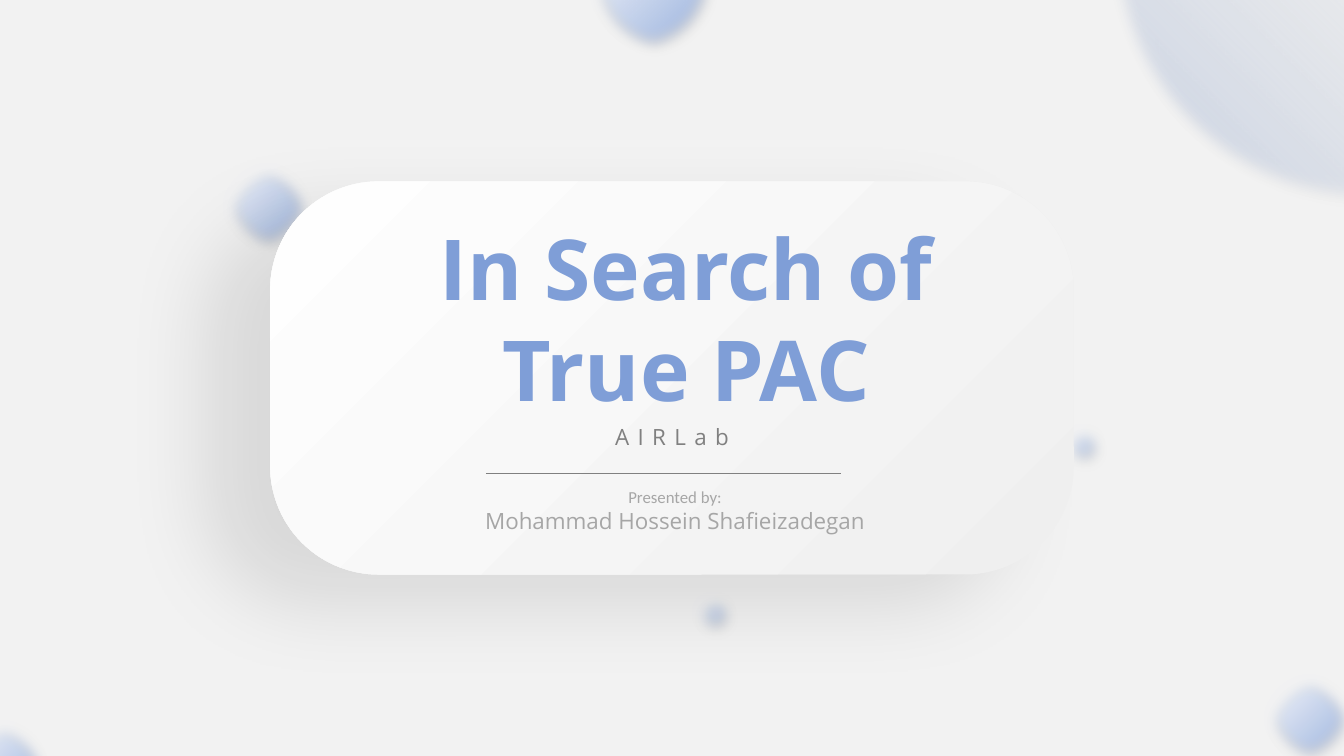
import lxml.etree
import pptx
import pptx.dml.color
import pptx.enum.shapes
import pptx.enum.text
import pptx.oxml
import pptx.oxml.ns
import pptx.util

Inches = pptx.util.Inches
Pt = pptx.util.Pt
qn = pptx.oxml.ns.qn
SHAPES = pptx.enum.shapes.MSO_SHAPE


def color(hex_string):
    return pptx.dml.color.RGBColor.from_string(hex_string)


def add_text(text, left, top, width, height, size=16, font="Open Sans",
             fill="A6A6A6", bold=False, spacing=0, heading=None):
    """Add a centred text box, with an optional small heading paragraph."""
    box = slide.shapes.add_textbox(Inches(left), Inches(top), Inches(width), Inches(height))
    frame = box.text_frame
    frame.word_wrap = True
    frame.auto_size = pptx.enum.text.MSO_AUTO_SIZE.SHAPE_TO_FIT_TEXT
    lines = [(text, size, font)]
    if heading:
        lines.insert(0, (heading, 12, "Calibri"))
    for index, (line, line_size, line_font) in enumerate(lines):
        paragraph = frame.add_paragraph() if index else frame.paragraphs[0]
        paragraph.alignment = pptx.enum.text.PP_ALIGN.CENTER
        run = paragraph.add_run()
        run.text = line
        run.font.size = Pt(line_size)
        run.font.name = line_font
        run.font.bold = bold
        run.font.color.rgb = color(fill)
        if spacing:
            run.font._element.set("spc", str(spacing * 100))


presentation = pptx.Presentation()
presentation.slide_width = Inches(13.33)
presentation.slide_height = Inches(7.5)
slide = presentation.slides.add_slide(presentation.slide_layouts[6])
slide.background.fill.solid()
slide.background.fill.fore_color.rgb = color("F2F2F2")

# Gradient stops: position, colour, opacity in percent
ball_stops = [(0, "8FAADC", 100), (0.99, "FEFEFE", 100)]
glow_stops = [(0, "8FAADC", 41), (0.74, "F2F2F2", 0)]
card_stops = [(0, "EFEFEF", 100), (0.99, "FEFEFE", 100)]
# Shadows: opacity in percent, blur, distance, direction
ball_shadow = (12, 4, 4, 60)
card_shadow = (9, 58, 53, 154)

balls = [
    (10.46, 4.14, 0.56, ball_stops, 225),
    (2.18, 1.58, 0.95, ball_stops, 225),
    (6.8, 5.81, 0.56, ball_stops, 225),
    (10.95, -2.98, 5.03, glow_stops, 315),
    (12.5, 6.65, 0.96, ball_stops, 225),
    (5.82, -0.75, 1.3, ball_stops, 225),
    (-0.45, 7.11, 0.96, ball_stops, 225),
]
surfaces = [
    (SHAPES.OVAL, left, top, size, size, stops, angle, ball_shadow, 10)
    for left, top, size, stops, angle in balls
]
surfaces.append(
    (SHAPES.ROUNDED_RECTANGLE, 2.68, 1.8, 7.97, 3.9, card_stops, 225, card_shadow, 0))

for kind, left, top, width, height, stops, angle, shadow, soft_edge in surfaces:
    shape = slide.shapes.add_shape(
        kind, Inches(left), Inches(top), Inches(width), Inches(height))
    if kind == SHAPES.ROUNDED_RECTANGLE:
        shape.adjustments[0] = 0.276
    shape.line.fill.background()
    shape.fill.gradient()
    shape.fill.gradient_angle = 360 - angle
    for stop, (position, stop_color, opacity) in zip(shape.fill.gradient_stops, stops):
        stop.position = position
        stop.color.rgb = color(stop_color)
    properties = shape._element.spPr
    for element, (position, stop_color, opacity) in zip(properties.iter(qn("a:srgbClr")), stops):
        if opacity < 100:
            lxml.etree.SubElement(element, qn("a:alpha"), val=str(opacity * 1000))

    shape.shadow.inherit = False
    effects = properties.find(qn("a:effectLst"))
    opacity, blur, distance, direction = shadow
    outer = lxml.etree.SubElement(
        effects, qn("a:outerShdw"), blurRad=str(Pt(blur)), dist=str(Pt(distance)),
        dir=str(direction * 60000), algn="ctr", rotWithShape="0")
    black = lxml.etree.SubElement(outer, qn("a:srgbClr"), val="000000")
    lxml.etree.SubElement(black, qn("a:alpha"), val=str(opacity * 1000))
    if soft_edge:
        lxml.etree.SubElement(effects, qn("a:softEdge"), rad=str(Pt(soft_edge)))

add_text("In Search of True PAC", 4, 2.1, 5.61, 2.12, size=60, fill="7F9ED7", bold=True)
add_text("AIRLab", 4.82, 4.15, 3.69, 0.37, fill="808080", spacing=6)

divider = slide.shapes.add_connector(
    pptx.enum.shapes.MSO_CONNECTOR.STRAIGHT,
    Inches(4.82), Inches(4.7), Inches(8.34), Inches(4.7))
divider.line.color.rgb = color("808080")
divider.line.width = Pt(0.5)
lxml.etree.SubElement(divider._element.spPr, qn("a:effectLst"))

add_text("Mohammad Hossein Shafieizadegan", 3.79, 4.78, 5.81, 0.57, heading="Presented by:")

presentation.save("out.pptx")
